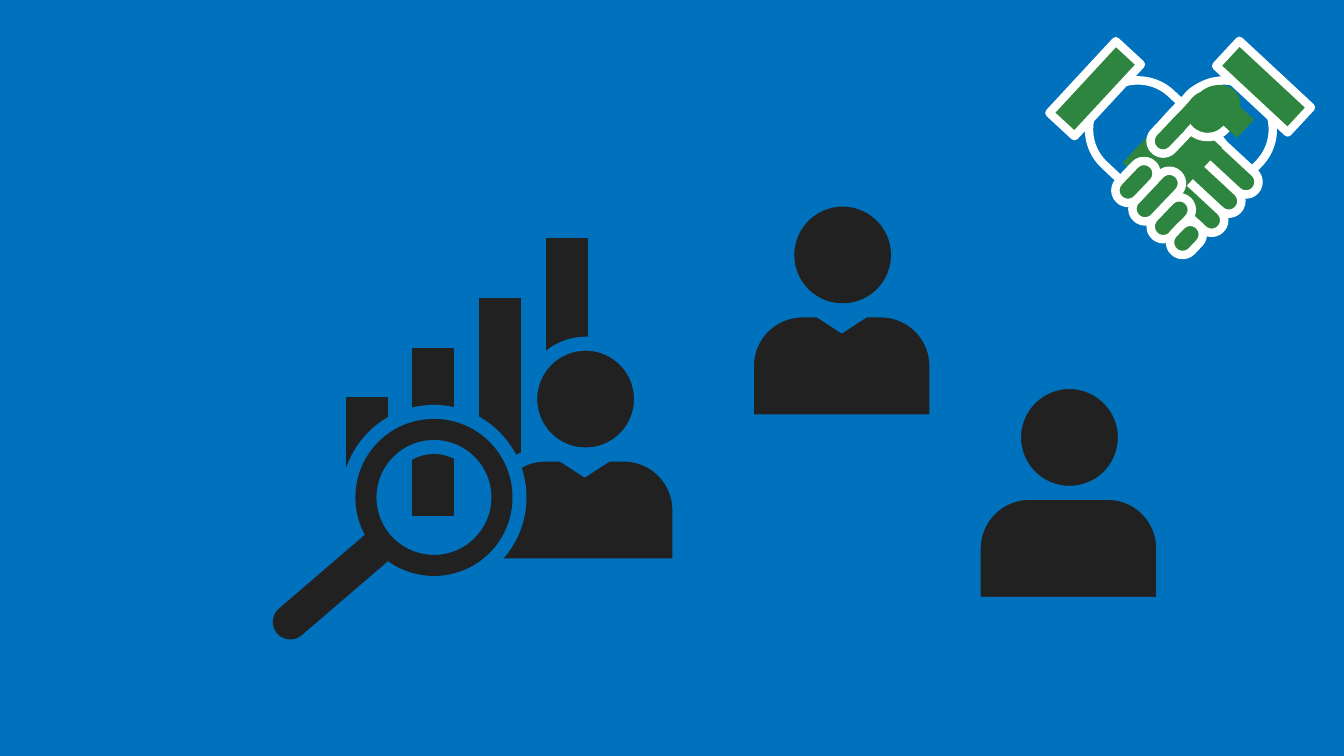
from dataclasses import dataclass

from lxml import etree
from pptx import Presentation
from pptx import util as u
from pptx.dml.color import RGBColor
from pptx.enum import shapes
from pptx.oxml import ns

PX = u.Inches(1) // 100  # 100 px to the inch
KIND = shapes.MSO_SHAPE


@dataclass(frozen=True)
class Theme:
    back: str = "0071BC"
    ink: str = "212121"
    green: str = "2E8540"
    white: str = "FFFFFF"
    hair: int = 1
    thin: int = 6
    gap: int = 10
    ring: int = 15
    handle: int = 25
    halo: int = 35


T = Theme()


def set_line(line, color, width):
    line.color.rgb = RGBColor.from_string(color)
    line.width = u.Pt(width)


def add(s, kind, box, fill=None, line=None, width=T.thin, rot=0, adj=()):
    """Add a preset shape; a fill or line of None is left empty."""
    sp = s.shapes.add_shape(kind, *(v * PX for v in box))
    sp.shadow.inherit = False
    sp.rotation = rot
    for i, value in enumerate(adj):
        sp.adjustments[i] = value
    if fill:
        sp.fill.solid()
        sp.fill.fore_color.rgb = RGBColor.from_string(fill)
    else:
        sp.fill.background()
    if line:
        set_line(sp.line, line, width)
        etree.SubElement(sp.line._get_or_add_ln(), ns.qn("a:round"))
    else:
        sp.line.fill.background()
    return sp


def handshake(s, x, y):
    def part(kind, box, rot=0, fill=T.green, line=T.white, adj=()):
        left, top, w, h = box
        add(s, kind, (x + left, y + top, w, h), fill, line, rot=rot, adj=adj)

    def pill(box, rot, fill=T.green):
        part(KIND.ROUNDED_RECTANGLE, box, rot, fill, adj=(0.5,))

    def patch(kind, box, rot):
        part(kind, box, rot, line=None)

    # Arms and left cuff
    pill((112, 30, 125, 97), 133.7, None)
    pill((42, 41, 159, 97), 43.1, None)
    part(KIND.RECTANGLE, (8, 11, 97, 34), 312.8)
    # Right hand fingers, then the palm
    for i in range(3):
        pill((145 - 17 * i, 89 + 19 * i, 81, 25), 42.8)
    patch(KIND.RECTANGLE, (102, 55, 62, 78), 43)
    # Left hand fingers and thumb
    for left, top, length in ((88, 122, 60), (108, 144, 48), (73, 108, 48),
                              (104, 50, 73), (129, 164, 36)):
        pill((left, top, length, 25), 313.6)
    # Back of the hand and right cuff
    part(KIND.OVAL, (143, 26, 50, 50))
    patch(KIND.RECTANGLE, (139, 39, 16, 33), 43)
    patch(KIND.OVAL, (152, 25, 49, 41), 336.4)
    patch(KIND.RECTANGLE, (181, 40, 25, 33), 133.3)
    part(KIND.RECTANGLE, (175, 9, 97, 34), 42.9)


def person(s, x, y, collar=True):
    add(s, KIND.OVAL, (x + 40, y, 110, 110), T.ink, T.back, T.gap)
    add(s, KIND.ROUND_2_SAME_RECTANGLE, (x, y + 110, 188, 110),
        T.ink, T.back, T.gap, adj=(0.5, 0))
    if collar:
        add(s, KIND.ISOSCELES_TRIANGLE, (x + 60, y + 110, 68, 22),
            T.back, T.back, T.hair, rot=180)


def bars(s, x, base, heights, first=0):
    """Stand bars on a base line, the leftmost in column number first."""
    for i, h in enumerate(heights, first):
        add(s, KIND.RECTANGLE, (x + 199 * i // 3, base - h, 50, h), T.ink, T.back)


def magnifier(s, x, y):
    lens = (x + 75, y, 135, 135)
    add(s, KIND.OVAL, lens, line=T.back, width=T.halo)
    add(s, KIND.OVAL, lens, line=T.ink, width=T.ring)
    cx = s.shapes.add_connector(
        shapes.MSO_CONNECTOR.STRAIGHT,
        (x + 85) * PX, (y + 118) * PX, x * PX, (y + 191) * PX)
    set_line(cx.line, T.ink, T.handle)
    cx.line._get_or_add_ln().set("cap", "rnd")
    etree.SubElement(cx._element.spPr, ns.qn("a:effectLst"))


def research(s, x, y):
    """Bar chart with a person in front of it and a magnifier over it."""
    base = y + 284
    bars(s, x + 51, base, (225, 284), first=2)
    person(s, x + 198, y + 109)
    bars(s, x + 51, base, (126, 175))
    magnifier(s, x, y + 194)


def main():
    prs = Presentation()
    prs.slide_width, prs.slide_height = u.Inches(13.333), u.Inches(7.5)
    s = prs.slides.add_slide(prs.slide_layouts[6])
    s.background.fill.solid()
    s.background.fill.fore_color.rgb = RGBColor.from_string(T.back)
    handshake(s, 1030, 60)
    research(s, 288, 232)
    person(s, 966, 379, collar=False)
    person(s, 741, 198)
    prs.save("out.pptx")


if __name__ == "__main__":
    main()
